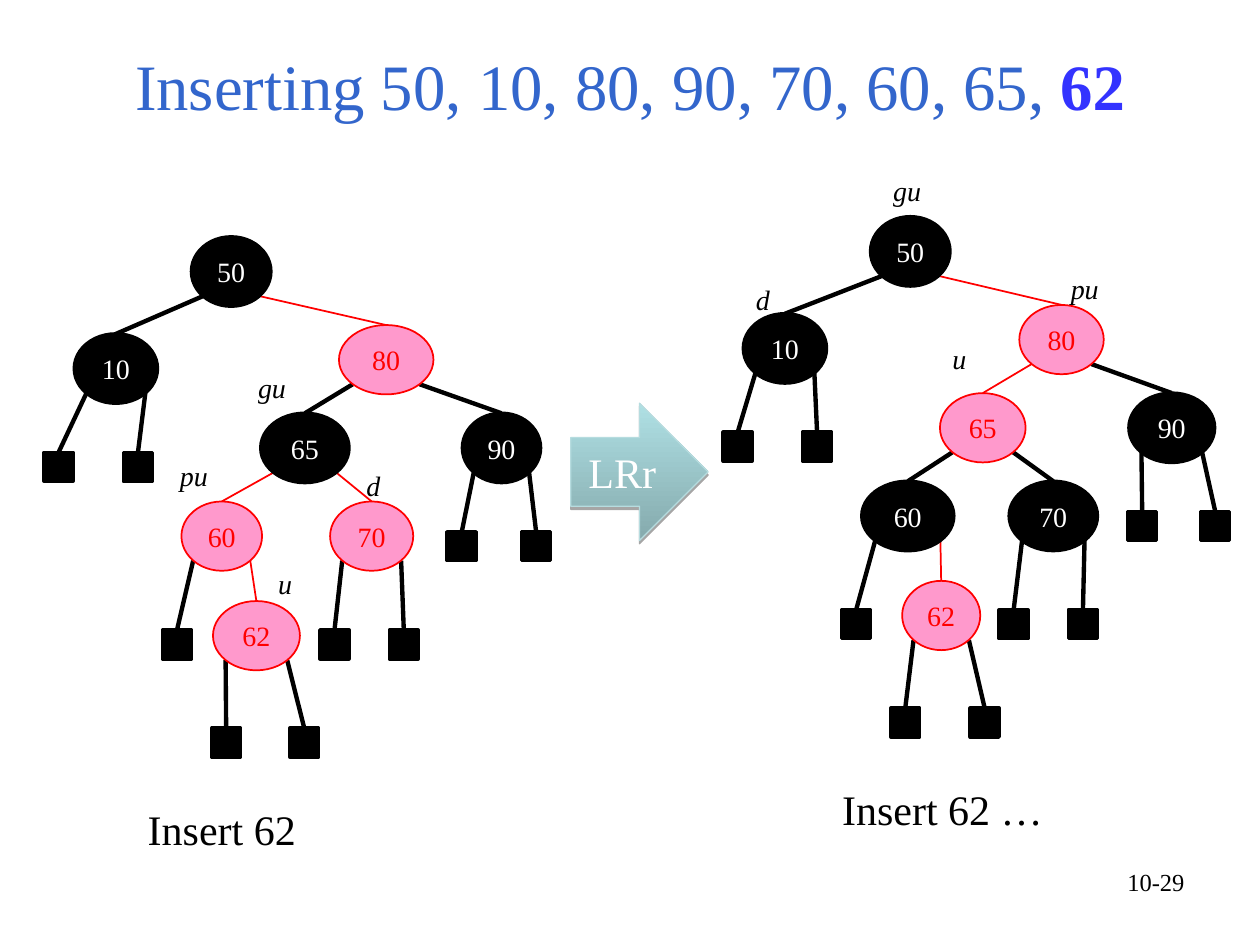
from dataclasses import dataclass
from typing import NamedTuple

from lxml import etree
from pptx import Presentation, util as u
from pptx.dml.color import RGBColor
from pptx.enum import shapes, text
from pptx.oxml import ns


@dataclass(frozen=True)
class Theme:
    """Colours, font and type sizes of the slide."""
    font: str = "Times New Roman"
    black: str = "000000"
    white: str = "FFFFFF"
    red: str = "FF0000"
    pink: str = "FF99CC"
    title: str = "3366CC"
    accent: str = "3333FF"
    arrow_dark: str = "85AAAD"
    arrow_light: str = "AFE0E4"
    arrow_line: str = "B6DCDF"
    title_size: int = 37
    caption_size: int = 24
    node_size: int = 16
    number_size: int = 14


class Box(NamedTuple):
    """Left, top, width and height in inches."""
    left: float
    top: float
    width: float
    height: float


class Node(NamedTuple):
    """A tree node; a negative side hangs it left of its parent."""
    value: int
    left: float
    row: int
    width: float
    red: bool = False
    parent: int = 0
    side: int = 0
    leaves: tuple = ()


class Mark(NamedTuple):
    """An italic pointer name, with its drop below the root."""
    name: str
    left: float
    drop: float


class Tree(NamedTuple):
    """One tree with its marks and caption."""
    top: float
    nodes: tuple
    marks: tuple
    caption: str
    caption_box: Box


THEME = Theme()
NODE_ROWS = (0, 0.7, 0.77, 1.4, 2.1, 2.89)
LEAF_ROWS = {2: 1.71, 3: 2.34, 4: 3.12, 5: 3.9}
NODE_HEIGHT = 0.55
LEAF = 0.23
NEAR, FAR = 0.146, 0.854  # diagonal points of an ellipse, as shares of its box

TREES = (
    Tree(1.88, (
        Node(50, 1.52, 0, 0.63),
        Node(10, 0.59, 2, 0.66, False, 50, -1, (0.35, 0.98)),
        Node(80, 2.69, 1, 0.75, True, 50, 1),
        Node(65, 2.07, 3, 0.7, False, 80, -1),
        Node(90, 3.67, 3, 0.62, False, 80, 1, (3.55, 4.14)),
        Node(60, 1.44, 4, 0.64, True, 65, -1, (1.29, None)),
        Node(70, 2.62, 4, 0.66, True, 65, 1, (2.54, 3.09)),
        Node(62, 1.69, 5, 0.69, True, 60, 1, (1.68, 2.3)),
    ), (Mark("u", 2.11, 2.57), Mark("pu", 1.33, 1.71),
        Mark("gu", 1.95, 1.01), Mark("d", 2.81, 1.79)),
        "Insert 62", Box(1.02, 6.33, 1.48, 0.5)),
    Tree(1.72, (
        Node(50, 6.91, 0, 0.63),
        Node(10, 5.9, 2, 0.66, False, 50, -1, (5.74, 6.37)),
        Node(80, 8.09, 1, 0.67, True, 50, 1),
        Node(65, 7.46, 3, 0.68, True, 80, -1),
        Node(90, 8.96, 3, 0.68, False, 80, 1, (8.95, 9.53)),
        Node(60, 6.84, 4, 0.73, False, 65, -1, (6.68, None)),
        Node(70, 8.01, 4, 0.7, False, 65, 1, (7.93, 8.48)),
        Node(62, 7.16, 5, 0.62, True, 60, 1, (7.07, 7.7)),
    ), (Mark("u", 7.46, 0.94), Mark("pu", 8.4, 0.39),
        Mark("gu", 6.99, -0.39), Mark("d", 5.9, 0.47)),
        "Insert 62 …", Box(6.41, 6.17, 2.14, 0.5)),
)


def inches(values) -> list:
    """Turn numbers into slide lengths."""
    return [u.Inches(value) for value in values]


def write(para, words: str, size: int, color: str, align=text.PP_ALIGN.CENTER, **extra) -> None:
    """Add a formatted span to a paragraph."""
    para.alignment = align
    span = para.add_run()
    span.text = words
    formats = {"name": THEME.font, "size": u.Pt(size), **extra}
    for name, value in formats.items():
        setattr(span.font, name, value)
    span.font.color.rgb = RGBColor.from_string(color)


def add_text(page, box: Box, words: str, size: int, align, **extra) -> None:
    """Place a black text box."""
    frame = page.shapes.add_textbox(*inches(box)).text_frame
    frame.word_wrap = True
    write(frame.paragraphs[0], words, size, THEME.black, align, **extra)


def add_solid(page, kind, box: Box, fill: str, line: str, weight: float):
    """Place a flat preset shape."""
    shape = page.shapes.add_shape(kind, *inches(box))
    shape.shadow.inherit = False
    shape.fill.solid()
    shape.fill.fore_color.rgb = RGBColor.from_string(fill)
    shape.line.color.rgb = RGBColor.from_string(line)
    shape.line.width = u.Pt(weight)
    return shape


def add_edge(page, start: tuple, end: tuple, red: bool) -> None:
    """Join two points with a thin red or thick black line."""
    edge = page.shapes.add_connector(shapes.MSO_CONNECTOR.STRAIGHT, *inches(start + end))
    edge.line.color.rgb = RGBColor.from_string(THEME.red if red else THEME.black)
    edge.line.width = u.Pt(1 if red else 2.5)
    etree.SubElement(edge._element.spPr, ns.qn("a:effectLst"))


def foot(node: Node, top: float, side: int) -> tuple:
    """Find the point where a child's edge leaves a node."""
    share = NEAR if side < 0 else FAR
    return (node.left + node.width * share, top + NODE_ROWS[node.row] + NODE_HEIGHT * FAR)


def add_node(page, node: Node, top: float) -> None:
    """Draw a node with its value."""
    fill, line, weight, color = ((THEME.pink, THEME.red, 1, THEME.red) if node.red
                                 else (THEME.black, THEME.black, 2, THEME.white))
    box = Box(node.left, top + NODE_ROWS[node.row], node.width, NODE_HEIGHT)
    oval = add_solid(page, shapes.MSO_SHAPE.OVAL, box, fill, line, weight)
    oval.text_frame.word_wrap = False
    write(oval.text_frame.paragraphs[0], str(node.value), THEME.node_size, color)


def add_tree(page, tree: Tree) -> None:
    """Draw edges, leaves, nodes, marks and caption of a tree."""
    by_value = {node.value: node for node in tree.nodes}
    for node in tree.nodes:
        if node.parent:
            head = (node.left + node.width / 2, tree.top + NODE_ROWS[node.row])
            add_edge(page, foot(by_value[node.parent], tree.top, node.side), head, node.red)
        for side, left in zip((-1, 1), node.leaves):
            if left is not None:
                leaf_top = tree.top + LEAF_ROWS[node.row]
                add_edge(page, foot(node, tree.top, side), (left + LEAF / 2, leaf_top), False)
                add_solid(page, shapes.MSO_SHAPE.RECTANGLE, Box(left, leaf_top, LEAF, LEAF),
                          THEME.black, THEME.black, 2)
    for node in tree.nodes:
        add_node(page, node, tree.top)
    for mark in tree.marks:
        box = Box(mark.left, tree.top + mark.drop, 0.31 + 0.08 * len(mark.name), 0.37)
        add_text(page, box, mark.name, THEME.node_size, text.PP_ALIGN.LEFT, italic=True)
    add_text(page, tree.caption_box, tree.caption, THEME.caption_size, text.PP_ALIGN.CENTER)


def add_rotation_arrow(page) -> None:
    """Draw the shaded arrow that names the rotation."""
    arrow = add_solid(page, shapes.MSO_SHAPE.RIGHT_ARROW, Box(4.53, 3.2, 1.09, 1.09),
                      THEME.arrow_light, THEME.arrow_line, 0.75)
    arrow.fill.gradient()
    arrow.fill.gradient_angle = 90
    for stop, color in zip(arrow.fill.gradient_stops, (THEME.arrow_dark, THEME.arrow_light)):
        stop.color.rgb = RGBColor.from_string(color)
    effects = arrow._element.spPr.find(ns.qn("a:effectLst"))
    shadow = etree.SubElement(effects, ns.qn("a:outerShdw"), blurRad="0",
                              dist=str(u.Pt(1.8)), dir="5400000", rotWithShape="0")
    tint = etree.SubElement(shadow, ns.qn("a:srgbClr"), val=THEME.black)
    etree.SubElement(tint, ns.qn("a:alpha"), val="35000")
    write(arrow.text_frame.paragraphs[0], "LRr", THEME.caption_size, THEME.white)


def add_title(page) -> None:
    """Fill the title placeholder, with the last number set apart."""
    title = page.shapes.title
    title.left, title.top, title.width, title.height = inches(Box(0.5, 0.3, 9, 0.69))
    formats = {"margin_left": 0, "margin_right": 0, "margin_top": u.Inches(0.05),
               "margin_bottom": 0, "vertical_anchor": text.MSO_ANCHOR.BOTTOM,
               "auto_size": text.MSO_AUTO_SIZE.NONE, "word_wrap": True}
    for name, value in formats.items():
        setattr(title.text_frame, name, value)
    para = title.text_frame.paragraphs[0]
    para.line_spacing = 0.9
    write(para, "Inserting 50, 10, 80, 90, 70, 60, 65, ", THEME.title_size, THEME.title)
    write(para, "62", THEME.title_size, THEME.accent, bold=True)


deck = Presentation()
deck.slide_width, deck.slide_height = inches((10, 7.5))
page = deck.slides.add_slide(deck.slide_layouts[5])
add_title(page)
for tree in TREES:
    add_tree(page, tree)
add_rotation_arrow(page)
add_text(page, Box(7.17, 6.83, 2.33, 0.52), "10-29", THEME.number_size, text.PP_ALIGN.RIGHT)
deck.save("out.pptx")
